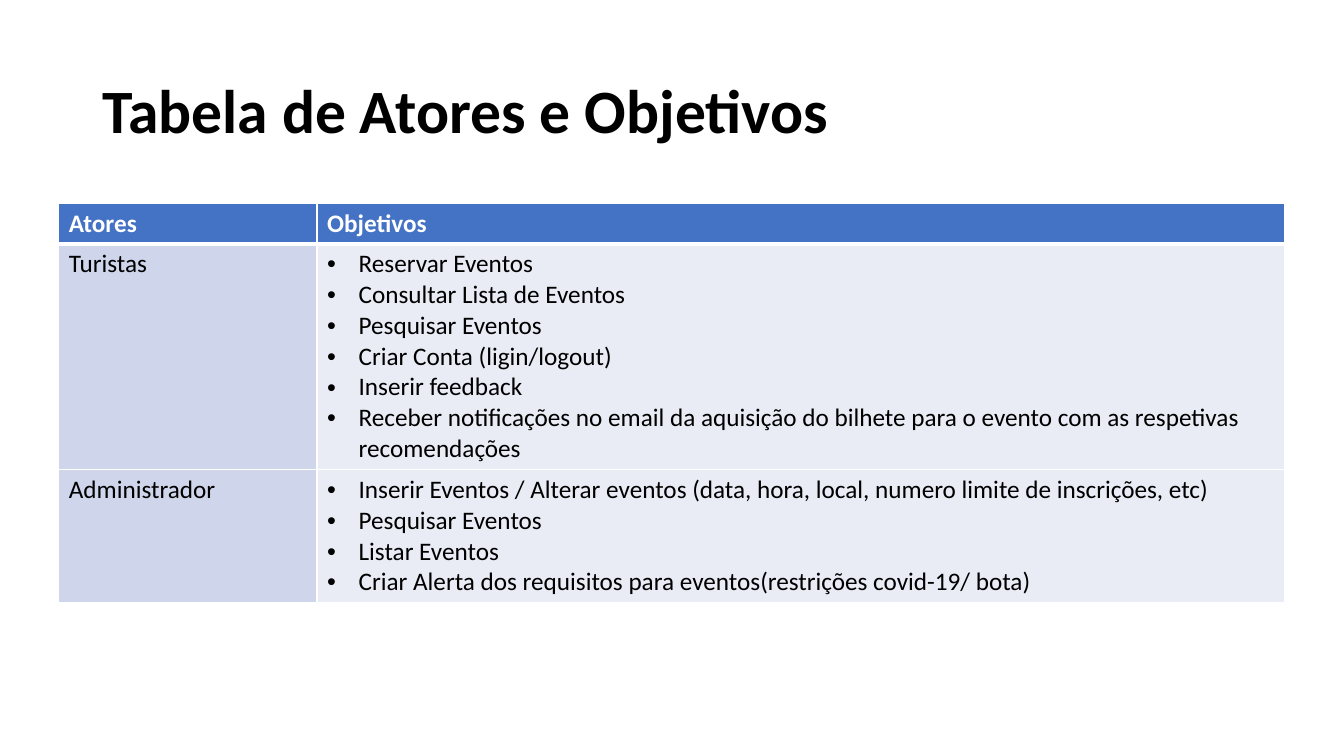
import pptx
import pptx.util
import pptx.dml.color
import pptx.enum.text
import pptx.oxml
import pptx.oxml.ns

Pt = pptx.util.Pt
RGBColor = pptx.dml.color.RGBColor

BLACK = RGBColor(0x00, 0x00, 0x00)
WHITE = RGBColor(0xFF, 0xFF, 0xFF)
HEADER = RGBColor(0x44, 0x72, 0xC4)
ACTOR = RGBColor(0xCF, 0xD5, 0xEA)
GOAL = RGBColor(0xE9, 0xEB, 0xF5)


class Deck:
    font = "Calibri"
    indent = 22.5

    def __init__(self, prs):
        self.prs = prs
        self.s = prs.slides.add_slide(prs.slide_layouts[5])

    def run(self, p, text, size, color, bold=False):
        r = p.add_run()
        r.text = text
        r.font.name = self.font
        r.font.size = Pt(size)
        r.font.bold = bold
        r.font.color.rgb = color

    def title(self, text, left, top, width, height):
        sp = self.s.shapes.title
        sp.left, sp.top, sp.width, sp.height = map(Pt, (left, top, width, height))
        tf = sp.text_frame
        tf.word_wrap = True
        tf.auto_size = pptx.enum.text.MSO_AUTO_SIZE.NONE
        tf.vertical_anchor = pptx.enum.text.MSO_ANCHOR.MIDDLE
        p = tf.paragraphs[0]
        p.alignment = pptx.enum.text.PP_ALIGN.LEFT
        p.line_spacing = 0.9
        self.run(p, text, 44, BLACK, True)

    def bullet(self, p):
        pPr = p._p.get_or_add_pPr()
        pPr.set("marL", str(Pt(self.indent)))
        pPr.set("indent", str(-Pt(self.indent)))
        ns = pptx.oxml.ns.nsdecls("a")
        pPr.append(pptx.oxml.parse_xml(f'<a:buFont {ns} typeface="Arial"/>'))
        pPr.append(pptx.oxml.parse_xml(f'<a:buChar {ns} char="•"/>'))

    def borders(self, cell, **widths):
        tcPr = cell._tc.get_or_add_tcPr()
        for side, width in widths.items():
            tcPr.append(pptx.oxml.parse_xml(
                f'<a:ln{side} {pptx.oxml.ns.nsdecls("a")} w="{Pt(width)}">'
                f'<a:solidFill><a:srgbClr val="{WHITE}"/></a:solidFill></a:ln{side}>'))

    def cell(self, cell, lines, fill, color=BLACK, bold=False, bullets=False, top=1, bottom=1):
        self.borders(cell, L=1, R=1, T=top, B=bottom)
        cell.fill.solid()
        cell.fill.fore_color.rgb = fill
        tf = cell.text_frame
        for i, line in enumerate(lines):
            p = tf.add_paragraph() if i else tf.paragraphs[0]
            if bullets:
                self.bullet(p)
            self.run(p, line, 18, color, bold)

    def table(self, header, rows, left, top, widths, heights):
        box = map(Pt, (left, top, sum(widths), sum(heights)))
        tbl = self.s.shapes.add_table(len(heights), len(widths), *box).table
        for col, width in zip(tbl.columns, widths):
            col.width = Pt(width)
        for row, height in zip(tbl.rows, heights):
            row.height = Pt(height)
        for j, text in enumerate(header):
            self.cell(tbl.cell(0, j), [text], HEADER, WHITE, True, bottom=3)
        for i, (actor, goals) in enumerate(rows, 1):
            edge = 3 if i == 1 else 1
            self.cell(tbl.cell(i, 0), [actor], ACTOR, top=edge)
            self.cell(tbl.cell(i, 1), goals, GOAL, bullets=True, top=edge)


prs = pptx.Presentation()
prs.slide_width, prs.slide_height = Pt(960), Pt(540)
deck = Deck(prs)
deck.title("Tabela de Atores e Objetivos", 66, 28.75, 828, 104.4)
deck.table(
    ["Atores", "Objetivos"],
    [
        ("Turistas", [
            "Reservar Eventos",
            "Consultar Lista de Eventos",
            "Pesquisar Eventos",
            "Criar Conta (ligin/logout)",
            "Inserir feedback",
            "Receber notificações no email da aquisição do bilhete "
            "para o evento com as respetivas recomendações",
        ]),
        ("Administrador", [
            "Inserir Eventos / Alterar eventos "
            "(data, hora, local, numero limite de inscrições, etc)",
            "Pesquisar Eventos",
            "Listar Eventos",
            "Criar Alerta dos requisitos para eventos(restrições covid-19/ bota)",
        ]),
    ],
    42, 145, [184.5, 691.2], [29.2, 161.2, 94.8])
prs.save("out.pptx")
